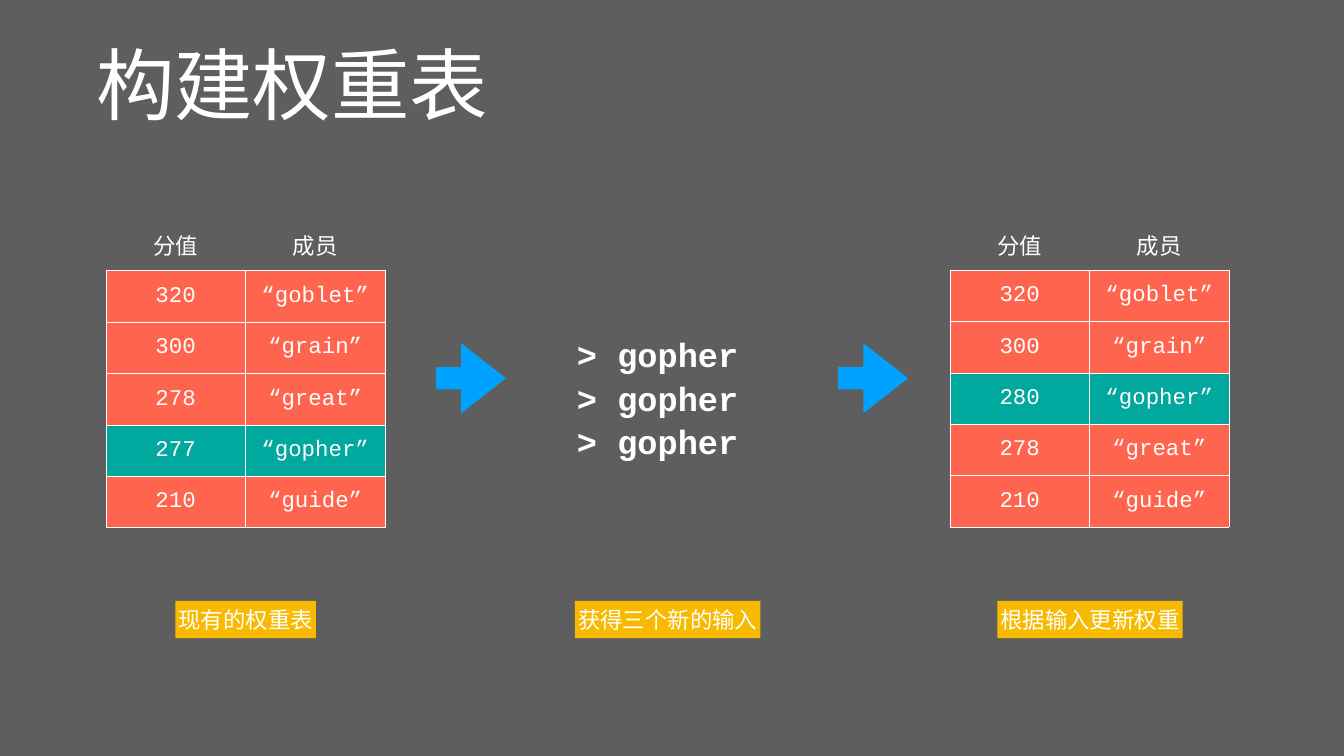
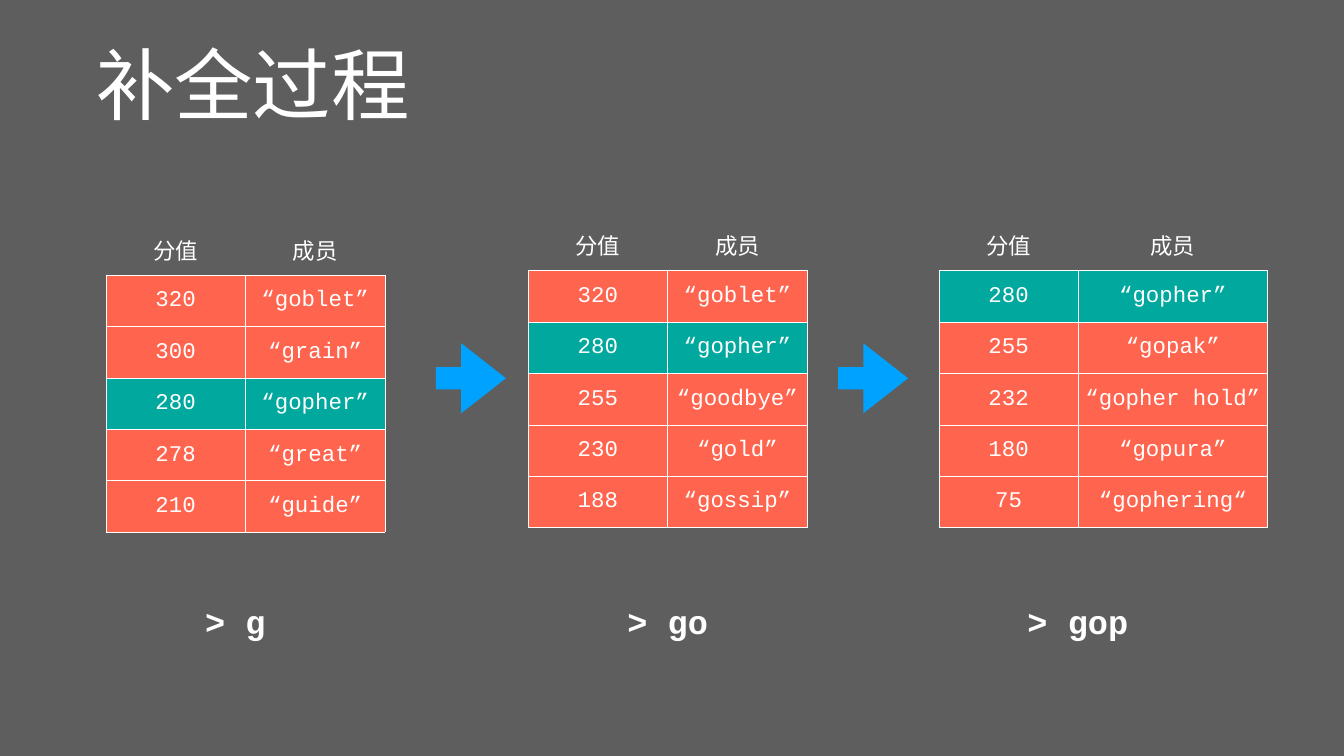
from lxml import etree
from pptx import Presentation
from pptx.dml.color import RGBColor
from pptx.enum.shapes import MSO_SHAPE as Shape
from pptx.enum.text import MSO_ANCHOR as Anchor, PP_ALIGN as Align
from pptx.oxml import parse_xml
from pptx.oxml.ns import nsdecls
from pptx.util import Inches, Pt

BACKGROUND, WHITE, ARROW = "5E5E5E", "FFFFFF", "00A2FF"
ROW, HIGHLIGHT, LABEL = "FF644E", "00A89D", "F7BA01"
SANS, MONO = "Roboto", "Courier New"
INSET = Inches(0.06)
ROW_HEIGHT, SCORE_WIDTH = 1.02, 2.77
HEADER = ("分值", "成员")

# Each table: left, top, member column width, rows
# Each caption: left, width, text
SLIDES = [
    {
        "title": "构建权重表",
        "tables": [
            (2.1, 4.35, 2.77, [("320", "“goblet”"), ("300", "“grain”"), ("278", "“great”"),
                               ("277", "“gopher”"), ("210", "“guide”")]),
            (18.85, 4.34, 2.77, [("320", "“goblet”"), ("300", "“grain”"), ("280", "“gopher”"),
                                 ("278", "“great”"), ("210", "“guide”")]),
        ],
        "labels": [(3.48, 2.79, "现有的权重表"), (11.41, 3.68, "获得三个新的输入"),
                   (19.79, 3.68, "根据输入更新权重")],
        "inputs": [(11.39, 6.2, 3.73, 3.33, "\n".join(["> gopher"] * 3))],
    },
    {
        "title": "补全过程",
        "tables": [
            (2.1, 4.44, 2.77, [("320", "“goblet”"), ("300", "“grain”"), ("280", "“gopher”"),
                               ("278", "“great”"), ("210", "“guide”")]),
            (10.48, 4.35, 2.77, [("320", "“goblet”"), ("280", "“gopher”"), ("255", "“goodbye”"),
                                 ("230", "“gold”"), ("188", "“gossip”")]),
            (18.63, 4.35, 3.75, [("280", "“gopher”"), ("255", "“gopak”"), ("232", "“gopher hold”"),
                                 ("180", "“gopura”"), ("75", "“gophering“")]),
        ],
        "labels": [],
        "inputs": [(4.01, 11.43, 1.73, 1.72, "> g"), (12.39, 11.43, 2.13, 1.72, "> go"),
                   (20.33, 11.43, 2.53, 1.72, "> gop")],
    },
]


def color(value):
    return RGBColor.from_string(value)


def write(holder, text, size, font, align=Align.LEFT, bold=False):
    """Fill a shape or table cell with white, vertically centred text."""
    holder.margin_left = holder.margin_right = INSET
    holder.margin_top = holder.margin_bottom = INSET
    holder.vertical_anchor = Anchor.MIDDLE
    text_frame = getattr(holder, "text_frame", holder)
    text_frame.text = text
    for paragraph in text_frame.paragraphs:
        paragraph.alignment = align
        for run in paragraph.runs:
            run.font.size = Pt(size)
            run.font.name = font
            run.font.bold = bold
            run.font.color.rgb = color(WHITE)


presentation = Presentation()
presentation.slide_width, presentation.slide_height = Inches(26.67), Inches(15)

for content in SLIDES:
    slide = presentation.slides.add_slide(presentation.slide_layouts[6])
    slide.background.fill.solid()
    slide.background.fill.fore_color.rgb = color(BACKGROUND)

    # Title
    title = slide.shapes.add_textbox(Inches(1.85), Inches(0.39), Inches(22.97), Inches(2.5))
    title.text_frame.word_wrap = True
    write(title.text_frame, content["title"], 112, SANS)

    # Arrows between the three steps
    for left in (8.65, 16.63):
        arrow = slide.shapes.add_shape(Shape.RIGHT_ARROW, Inches(left), Inches(6.81),
                                       Inches(1.39), Inches(1.39))
        arrow.adjustments[0], arrow.adjustments[1] = 0.32, 0.64
        arrow.shadow.inherit = False
        arrow.fill.solid()
        arrow.fill.fore_color.rgb = color(ARROW)
        arrow.line.fill.background()

    # Weight tables, with the "gopher" row highlighted
    for left, top, member_width, entries in content["tables"]:
        rows = [HEADER] + entries
        table = slide.shapes.add_table(
            len(rows), 2, Inches(left), Inches(top),
            Inches(SCORE_WIDTH + member_width), Inches(ROW_HEIGHT * len(rows))).table
        table.first_row = table.horz_banding = False
        table.columns[0].width = Inches(SCORE_WIDTH)
        table.columns[1].width = Inches(member_width)
        for row_index, row in enumerate(rows):
            table.rows[row_index].height = Inches(ROW_HEIGHT)
            for column_index, text in enumerate(row):
                cell = table.cell(row_index, column_index)
                write(cell, text, 32, MONO, Align.CENTER)
                if row_index == 0:
                    cell.fill.background()
                else:
                    cell.fill.solid()
                    cell.fill.fore_color.rgb = color(HIGHLIGHT if row[1] == "“gopher”" else ROW)
                # Borders come before the fill; the header only has a bottom one
                properties = cell._tc.get_or_add_tcPr()
                for position, side in enumerate("LRTB"):
                    border = parse_xml(f'<a:ln{side} {nsdecls("a")} w="12700"/>')
                    namespace = "{" + border.nsmap["a"] + "}"
                    if row_index == 0 and side != "B":
                        etree.SubElement(border, namespace + "noFill")
                    else:
                        fill = etree.SubElement(border, namespace + "solidFill")
                        etree.SubElement(fill, namespace + "srgbClr", val=WHITE)
                    properties.insert(position, border)

    # Yellow step labels
    for left, width, text in content["labels"]:
        label = slide.shapes.add_shape(Shape.RECTANGLE, Inches(left), Inches(11.92),
                                       Inches(width), Inches(0.74))
        label.shadow.inherit = False
        label.fill.solid()
        label.fill.fore_color.rgb = color(LABEL)
        label.line.fill.background()
        label.text_frame.word_wrap = False
        write(label.text_frame, text, 32, SANS, Align.CENTER)

    # Typed input
    for left, top, width, height, text in content["inputs"]:
        typed = slide.shapes.add_textbox(Inches(left), Inches(top), Inches(width), Inches(height))
        typed.text_frame.word_wrap = True
        write(typed.text_frame, text, 48, MONO, bold=True)
        for paragraph in typed.text_frame.paragraphs:
            paragraph.line_spacing = 1.08

presentation.save("out.pptx")
